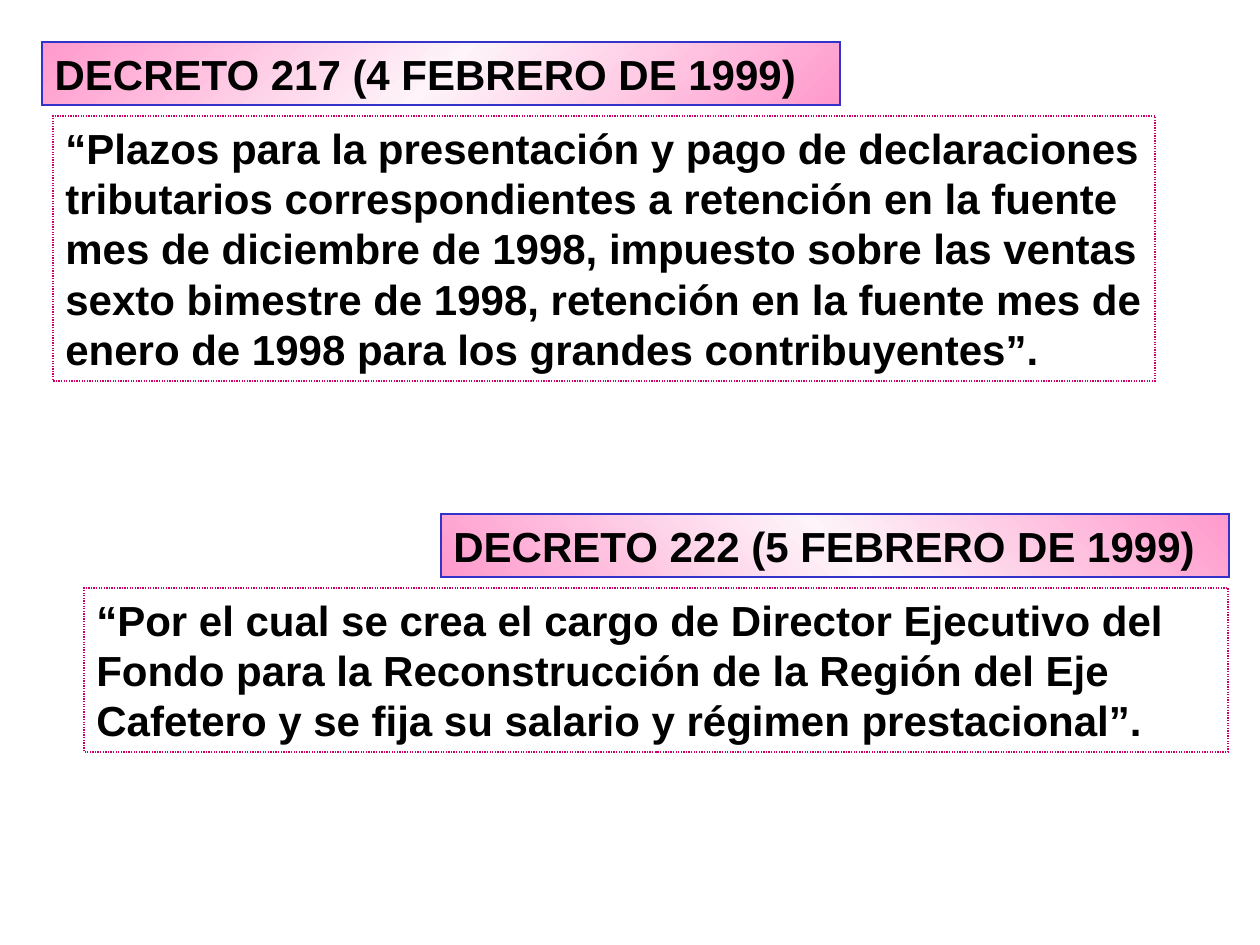
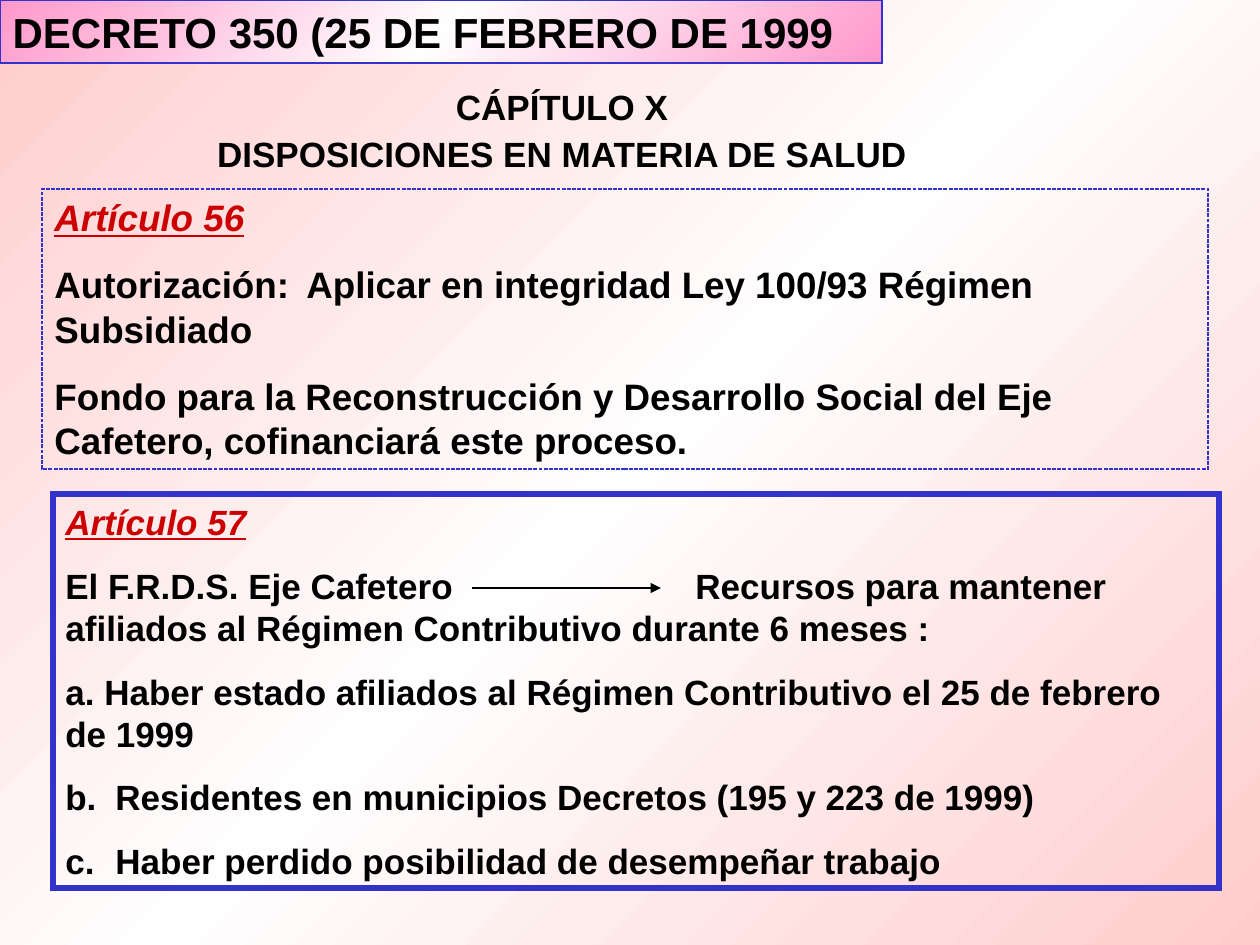
from copy import deepcopy
from dataclasses import dataclass

from lxml.etree import SubElement
from pptx import Presentation
from pptx.dml.color import RGBColor
from pptx.enum.dml import MSO_LINE
from pptx.enum.shapes import MSO_CONNECTOR, MSO_SHAPE
from pptx.enum.text import MSO_ANCHOR, MSO_AUTO_SIZE, PP_ALIGN
from pptx.oxml.ns import qn
from pptx.util import Emu, Pt

PX_PER_INCH = 126
TITLE_ONLY = 5


@dataclass(frozen=True)
class Theme:
    """Colours, font and type sizes shared by the slides."""
    font: str = "Arial"
    ink: str = "000000"
    article: str = "CC0000"
    blue: str = "3333CC"
    magenta: str = "CC0066"
    band_edge: str = "FF99CC"
    band_middle: str = "FEF4F9"
    page_edge: str = "FFCCCC"
    white: str = "FEFEFE"
    decree_size: int = 24
    article_size: int = 21
    detail_size: int = 20
    thin: float = 0.75
    thick: float = 3


THEME = Theme()
LIST_STOP = 50
TAB_STOPS = [LIST_STOP] + [PX_PER_INCH * inch for inch in range(1, 8)]


def px(length):
    """Turn px into EMU."""
    return Emu(round(length * 914400 / PX_PER_INCH))


def rgb(code):
    """Turn a hex code into a colour."""
    return RGBColor.from_string(code)


def fill_gradient(fill, element, edge, middle, angle):
    """Fill with a gradient that has the same colour at both ends."""
    fill.gradient()
    stops = next(element.iter(qn("a:gsLst")))
    stops.append(deepcopy(stops[0]))
    for stop, position, color in zip(fill.gradient_stops, (0, 0.5, 1), (edge, middle, edge)):
        stop.position = position
        stop.color.rgb = rgb(color)
    fill.gradient_angle = angle


def outline(shape, color, width, dash=None):
    """Draw the border of a shape with square corners."""
    shape.line.color.rgb = rgb(color)
    shape.line.width = Pt(width)
    if dash:
        shape.line.dash_style = dash
    SubElement(shape.line._get_or_add_ln(), qn("a:miter"), lim="800000")


def add_panel(slide, box):
    """Add an empty rectangle."""
    panel = slide.shapes.add_shape(MSO_SHAPE.RECTANGLE, *map(px, box))
    panel.shadow.inherit = False
    panel.fill.background()
    return panel


def write(shape, texts, size, gap=0, align=PP_ALIGN.LEFT, spacing=None):
    """Write bold paragraphs from the top of a shape of fixed size."""
    frame = shape.text_frame
    frame.word_wrap = True
    frame.auto_size = MSO_AUTO_SIZE.NONE
    frame.vertical_anchor = MSO_ANCHOR.TOP
    frame.text = "\n".join(texts)
    for index, paragraph in enumerate(frame.paragraphs):
        paragraph.alignment = align
        if "\t" in paragraph.text:
            tabs = SubElement(paragraph._p.get_or_add_pPr(), qn("a:tabLst"))
            for stop in TAB_STOPS:
                SubElement(tabs, qn("a:tab"), pos=str(px(stop)), algn="l")
        if spacing:
            paragraph.line_spacing = spacing
        paragraph.space_before = Pt(gap if index else 0)
        font = paragraph.font
        font.name, font.size, font.bold = THEME.font, Pt(size), True
        font.color.rgb = rgb(THEME.ink)
    return frame.paragraphs


def decree_band(band, box, text, middle=THEME.band_middle, angle=135):
    """Place and format the pink band that names a decree."""
    band.left, band.top, band.width, band.height = map(px, box)
    fill_gradient(band.fill, band.element, THEME.band_edge, middle, angle)
    outline(band, THEME.blue, THEME.thin)
    write(band, [text], THEME.decree_size)


def decree_summary(slide, box, text):
    """Add the dotted box that quotes a decree."""
    summary = add_panel(slide, box)
    outline(summary, THEME.magenta, THEME.thin, MSO_LINE.ROUND_DOT)
    write(summary, [text], THEME.decree_size)


def article_box(slide, box, texts, size, gap, width, dash=None):
    """Add a framed article whose first paragraph is its heading."""
    article = add_panel(slide, box)
    outline(article, THEME.blue, width, dash)
    heading = write(article, texts, size, gap)[0].font
    heading.italic = heading.underline = True
    heading.color.rgb = rgb(THEME.article)


def resource_arrow(slide, box):
    """Add the arrow from the fund to its resources inside an article box."""
    start, y = box[0] + 419, box[1] + 94
    arrow = slide.shapes.add_connector(
        MSO_CONNECTOR.STRAIGHT, px(start), px(y), px(start + 189), px(y))
    outline(arrow, THEME.ink, THEME.thin)
    SubElement(arrow.line._get_or_add_ln(), qn("a:tailEnd"), type="triangle")
    SubElement(arrow.element.spPr, qn("a:effectLst"))


def new_slide(deck):
    """Add a title-only slide."""
    return deck.slides.add_slide(deck.slide_layouts[TITLE_ONLY])


def february_decrees(deck):
    """Build the slide on decrees 217 and 222."""
    slide = new_slide(deck)
    decree_band(slide.shapes.title, (42, 42, 798, 63), "DECRETO 217 (4 FEBRERO DE 1999)")
    decree_summary(
        slide, (53, 116, 1102, 265),
        "“Plazos para la presentación y pago de declaraciones tributarios correspondientes "
        "a retención en la fuente mes de diciembre de 1998, impuesto sobre las ventas sexto "
        "bimestre de 1998, retención en la fuente mes de enero de 1998 para los grandes "
        "contribuyentes”.")
    second_decree = (441, 514, 788, 63)
    decree_band(add_panel(slide, second_decree), second_decree,
                "DECRETO 222 (5 FEBRERO DE 1999)", angle=225)
    decree_summary(
        slide, (84, 588, 1144, 164),
        "“Por el cual se crea el cargo de Director Ejecutivo del Fondo para la "
        "Reconstrucción de la Región del Eje Cafetero y se fija su salario y régimen "
        "prestacional”.")


def health_decree(deck):
    """Build the slide on decree 350."""
    slide = new_slide(deck)
    fill_gradient(slide.background.fill, slide.element, THEME.page_edge, THEME.white, 135)
    decree_band(slide.shapes.title, (0, 0, 882, 63),
                "DECRETO 350 (25 DE FEBRERO DE 1999", THEME.white)
    chapter = slide.shapes.add_textbox(*map(px, (0, 94, 1124, 86)))
    write(chapter, ["CÁPÍTULO X", "DISPOSICIONES EN MATERIA DE SALUD"],
          THEME.detail_size, 12.5, PP_ALIGN.CENTER, 0.6)
    article_box(slide, (42, 189, 1166, 280), [
        "Artículo 56",
        "Autorización:\tAplicar en integridad Ley 100/93 Régimen Subsidiado",
        "Fondo para la Reconstrucción y Desarrollo Social del Eje Cafetero, "
        "cofinanciará este proceso.",
    ], THEME.article_size, 13.1, THEME.thin, MSO_LINE.SQUARE_DOT)
    resources = (53, 494, 1166, 394)
    article_box(slide, resources, [
        "Artículo 57",
        "El F.R.D.S. Eje Cafetero\t\tRecursos para mantener afiliados al Régimen "
        "Contributivo durante 6 meses :",
        "a. Haber estado afiliados al Régimen Contributivo el 25 de febrero de 1999",
        "b.\tResidentes en municipios Decretos (195 y 223 de 1999)",
        "c.\tHaber perdido posibilidad de desempeñar trabajo",
    ], THEME.detail_size, 12.5, THEME.thick)
    resource_arrow(slide, resources)


def main():
    """Build and save the deck."""
    deck = Presentation()
    deck.slide_width, deck.slide_height = px(1260), px(945)
    february_decrees(deck)
    health_decree(deck)
    deck.save("out.pptx")


if __name__ == "__main__":
    main()
